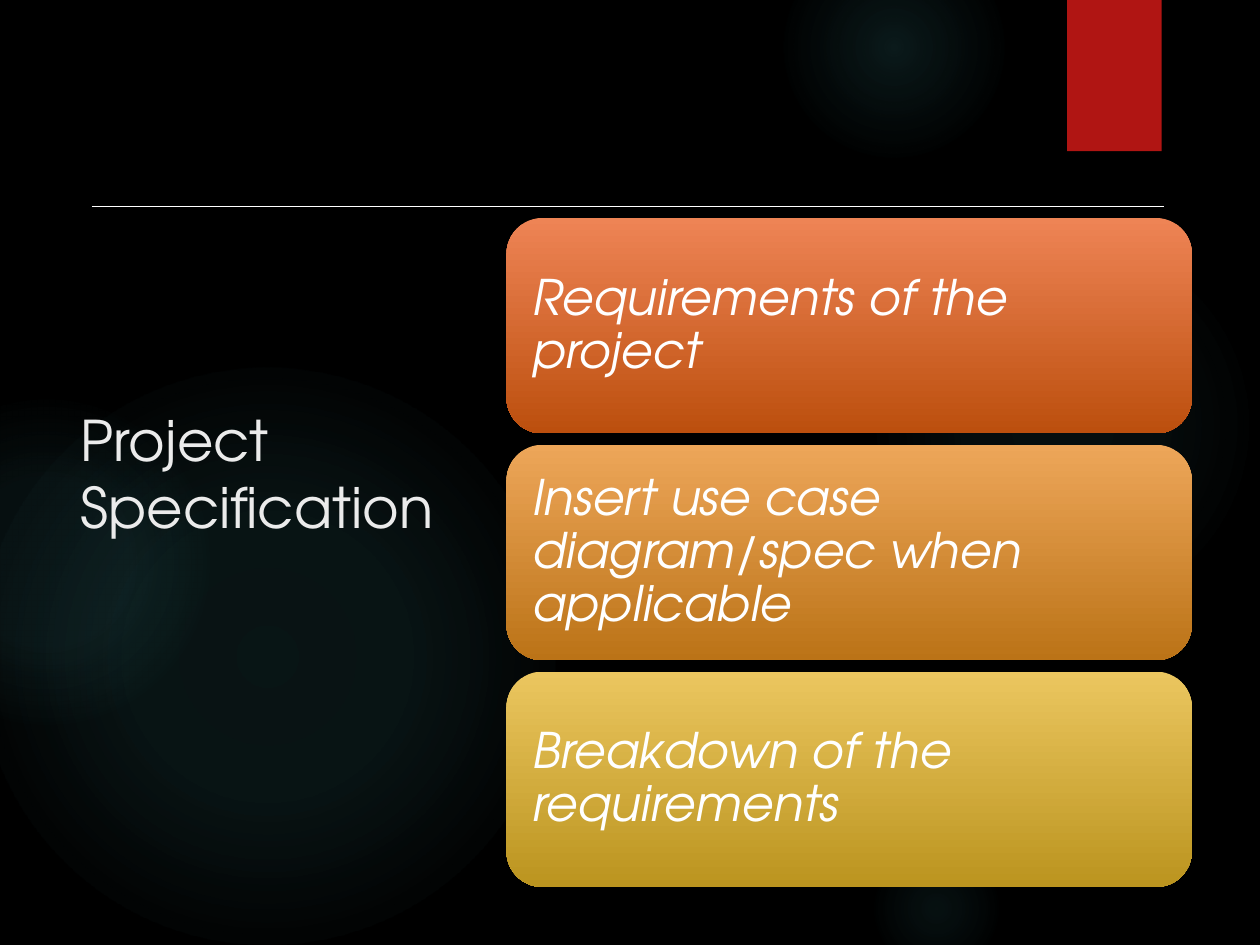
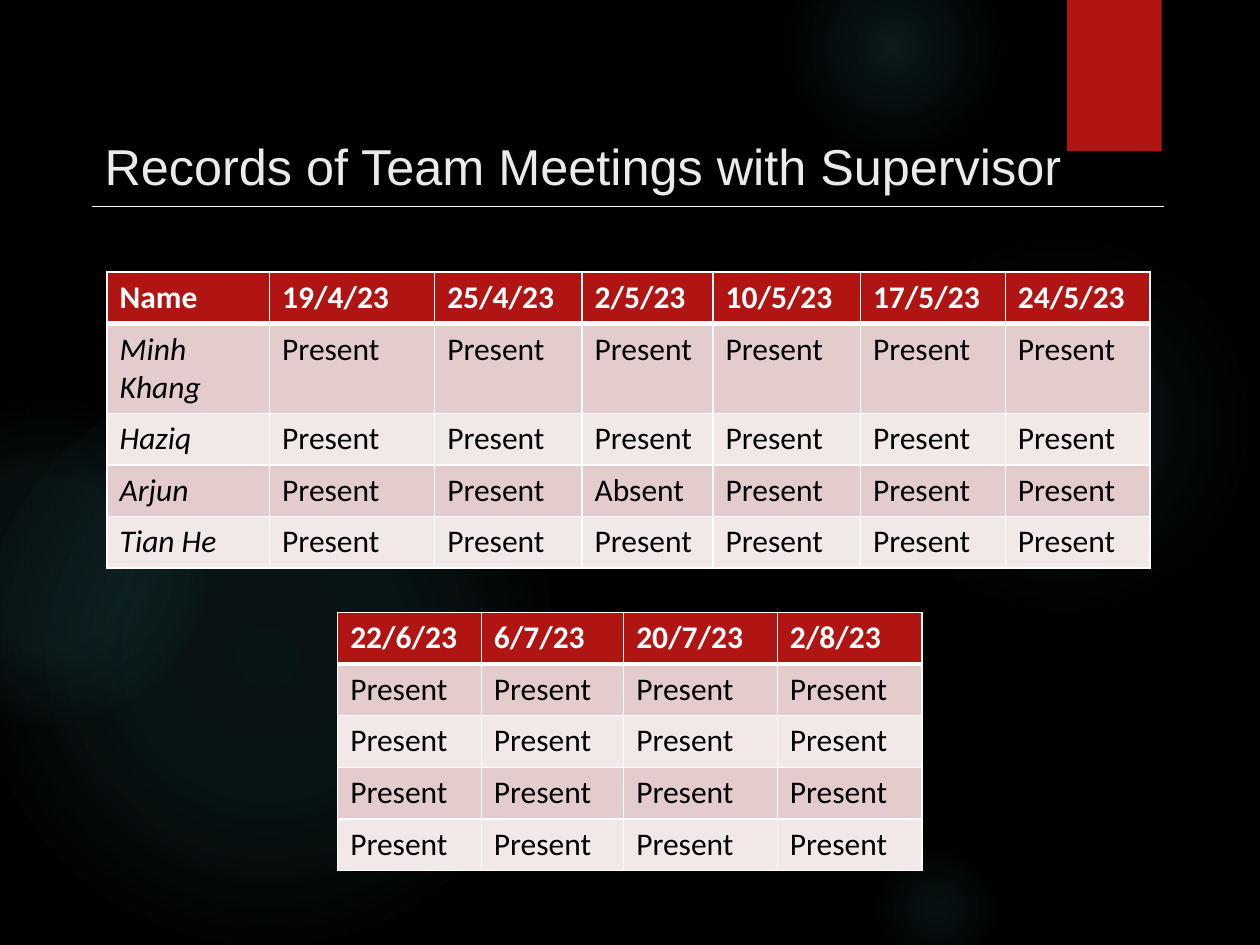
"""Build the project specification and meeting attendance slides."""
from lxml import etree
from pptx import Presentation
from pptx.dml.color import RGBColor
from pptx.enum.shapes import MSO_CONNECTOR, MSO_SHAPE
from pptx.enum.text import MSO_ANCHOR, PP_ALIGN
from pptx.oxml import parse_xml
from pptx.oxml.ns import nsdecls, qn
from pptx.util import Inches, Pt

OVAL = MSO_SHAPE.OVAL
RECTANGLE = MSO_SHAPE.RECTANGLE
ROUNDED = MSO_SHAPE.ROUNDED_RECTANGLE
STRAIGHT = MSO_CONNECTOR.STRAIGHT
MIDDLE = MSO_ANCHOR.MIDDLE
LEFT = PP_ALIGN.LEFT

BLACK = RGBColor(0x00, 0x00, 0x00)
WHITE = RGBColor(0xFF, 0xFF, 0xFF)
TITLE_GREY = RGBColor(0xEB, 0xEB, 0xEB)
RED = RGBColor(0xB0, 0x15, 0x13)
GLOW_TEAL = RGBColor(0x50, 0xB9, 0xC1)
ROW_DARK = RGBColor(0xE4, 0xCC, 0xCC)
ROW_LIGHT = RGBColor(0xF2, 0xE8, 0xE7)

DISPLAY_FONT = "TeX Gyre Adventor"
TITLE_ONLY = 5

GLOWS = [
    (6.89, 1.83, 3.08, [(0, 7), (36, 6), (69, 0)]),
    (6.22, -0.5, 1.75, [(0, 14), (36, 7), (73, 0)]),
    (6.89, 6.67, 1.08, [(0, 9), (36, 5), (66, 0)]),
    (-0.17, 2.92, 4.58, [(0, 11), (36, 10), (75, 0)]),
    (-0.92, 3.17, 2.58, [(0, 8), (36, 8), (72, 0)]),
]


def add_base_slide(prs, text, box, size, font_name):
    """Add a slide with the shared background, glows, band, rule and title."""
    slide = prs.slides.add_slide(prs.slide_layouts[TITLE_ONLY])
    slide.background.fill.solid()
    slide.background.fill.fore_color.rgb = BLACK

    for left, top, diameter, stops in GLOWS:
        glow = slide.shapes.add_shape(
            OVAL, Inches(left), Inches(top), Inches(diameter), Inches(diameter))
        glow.shadow.inherit = False
        glow.line.fill.background()
        glow.fill.background()
        stop_xml = "".join(
            f'<a:gs pos="{position * 1000}"><a:srgbClr val="{GLOW_TEAL}">'
            f'<a:alpha val="{opacity * 1000}"/></a:srgbClr></a:gs>'
            for position, opacity in stops)
        gradient = parse_xml(
            f'<a:gradFill {nsdecls("a")} rotWithShape="1"><a:gsLst>{stop_xml}</a:gsLst>'
            '<a:path path="circle"><a:fillToRect l="50000" t="50000" r="50000" b="50000"/>'
            '</a:path></a:gradFill>')
        properties = glow.element.spPr
        properties.replace(properties.find(qn("a:noFill")), gradient)

    band = slide.shapes.add_shape(
        RECTANGLE, Inches(8.47), Inches(0), Inches(0.75), Inches(1.2))
    band.shadow.inherit = False
    band.fill.solid()
    band.fill.fore_color.rgb = RED
    band.line.fill.background()

    rule = slide.shapes.add_connector(
        STRAIGHT, Inches(0.73), Inches(1.64), Inches(9.24), Inches(1.64))
    rule.line.color.rgb = WHITE
    rule.line.width = Pt(0.25)
    etree.SubElement(rule.element.spPr, qn("a:effectLst"))

    title = slide.shapes.title
    title.element.getparent().append(title.element)
    title.left, title.top, title.width, title.height = map(Inches, box)
    title.text_frame.text = text
    title.text_frame.word_wrap = True
    title.text_frame.vertical_anchor = MIDDLE
    heading = title.text_frame.paragraphs[0]
    heading.alignment = LEFT
    heading.font.name = font_name
    heading.font.size = Pt(size)
    heading.font.color.rgb = TITLE_GREY
    return slide


def add_attendance_table(slide, left, top, widths, heights, records, named):
    """Add a banded attendance table, with italic names first if named."""
    table = slide.shapes.add_table(
        len(records), len(widths), Inches(left), Inches(top),
        Inches(sum(widths)), Inches(sum(heights))).table
    for column, width in zip(table.columns, widths):
        column.width = Inches(width)
    for row, height in zip(table.rows, heights):
        row.height = Inches(height)

    for row_index, record in enumerate(records):
        is_header = row_index == 0
        for column_index, value in enumerate(record):
            cell = table.cell(row_index, column_index)
            cell.text = value
            entry = cell.text_frame.paragraphs[0]
            entry.font.name = "Calibri"
            entry.font.size = Pt(18)
            entry.font.bold = is_header
            entry.font.italic = named and column_index == 0 and not is_header
            entry.font.color.rgb = WHITE if is_header else BLACK

            edges = {"L": 1, "R": 1, "T": 3 if row_index == 1 else 1,
                     "B": 3 if is_header else 1}
            for side, width in edges.items():
                cell.fill.background()
                cell_properties = cell._tc.get_or_add_tcPr()
                cell_properties.find(qn("a:noFill")).addprevious(parse_xml(
                    f'<a:ln{side} {nsdecls("a")} w="{Pt(width)}"><a:solidFill>'
                    f'<a:srgbClr val="{WHITE}"/></a:solidFill></a:ln{side}>'))
            cell.fill.solid()
            cell.fill.fore_color.rgb = (
                RED if is_header else ROW_DARK if row_index % 2 else ROW_LIGHT)


prs = Presentation()
prs.slide_width = Inches(10)
prs.slide_height = Inches(7.5)

specification = add_base_slide(
    prs, "Project Specification", (0.54, 1.51, 3.03, 4.48), 32, DISPLAY_FONT)

topics = [
    ("Requirements of the project",
     RGBColor(0xEE, 0x84, 0x55), RGBColor(0xBC, 0x4F, 0x0E)),
    ("Insert use case diagram/spec when applicable",
     RGBColor(0xED, 0xA6, 0x59), RGBColor(0xBB, 0x73, 0x17)),
    ("Breakdown of the requirements",
     RGBColor(0xEB, 0xC6, 0x5F), RGBColor(0xBB, 0x94, 0x1F)),
]
for index, (topic, top_color, bottom_color) in enumerate(topics):
    card = specification.shapes.add_shape(
        ROUNDED, Inches(4.02), Inches(1.73 + 1.8 * index), Inches(5.44), Inches(1.71))
    card.shadow.inherit = False
    card.line.fill.background()
    card.fill.gradient()
    card.fill.gradient_angle = 270
    for stop, color in zip(card.fill.gradient_stops, (top_color, bottom_color)):
        stop.color.rgb = color
    frame = card.text_frame
    frame.text = topic
    frame.word_wrap = True
    frame.vertical_anchor = MIDDLE
    frame.margin_left = frame.margin_right = Inches(0.12)
    frame.margin_top = frame.margin_bottom = Inches(0.12)
    label = frame.paragraphs[0]
    label.alignment = LEFT
    label.line_spacing = 0.9
    label.font.name = DISPLAY_FONT
    label.font.size = Pt(28)
    label.font.italic = True
    label.font.color.rgb = WHITE

meetings = add_base_slide(
    prs, "Records of Team Meetings with Supervisor", (0.73, 0.98, 8.51, 0.66), 28.8, "Arial")

early_records = [
    ["Name", "19/4/23", "25/4/23", "2/5/23", "10/5/23", "17/5/23", "24/5/23"],
    ["Minh Khang"] + ["Present"] * 6,
    ["Haziq"] + ["Present"] * 6,
    ["Arjun", "Present", "Present", "Absent", "Present", "Present", "Present"],
    ["Tian He"] + ["Present"] * 6,
]
add_attendance_table(
    meetings, 0.85, 2.16, [1.29, 1.31, 1.17, 1.04, 1.17, 1.15, 1.15],
    [0.41, 0.71, 0.41, 0.41, 0.41], early_records, named=True)

late_records = [["22/6/23", "6/7/23", "20/7/23", "2/8/23"]] + [["Present"] * 4] * 4
add_attendance_table(
    meetings, 2.68, 4.86, [1.14, 1.13, 1.22, 1.15], [0.41] * 5, late_records, named=False)

prs.save("out.pptx")
